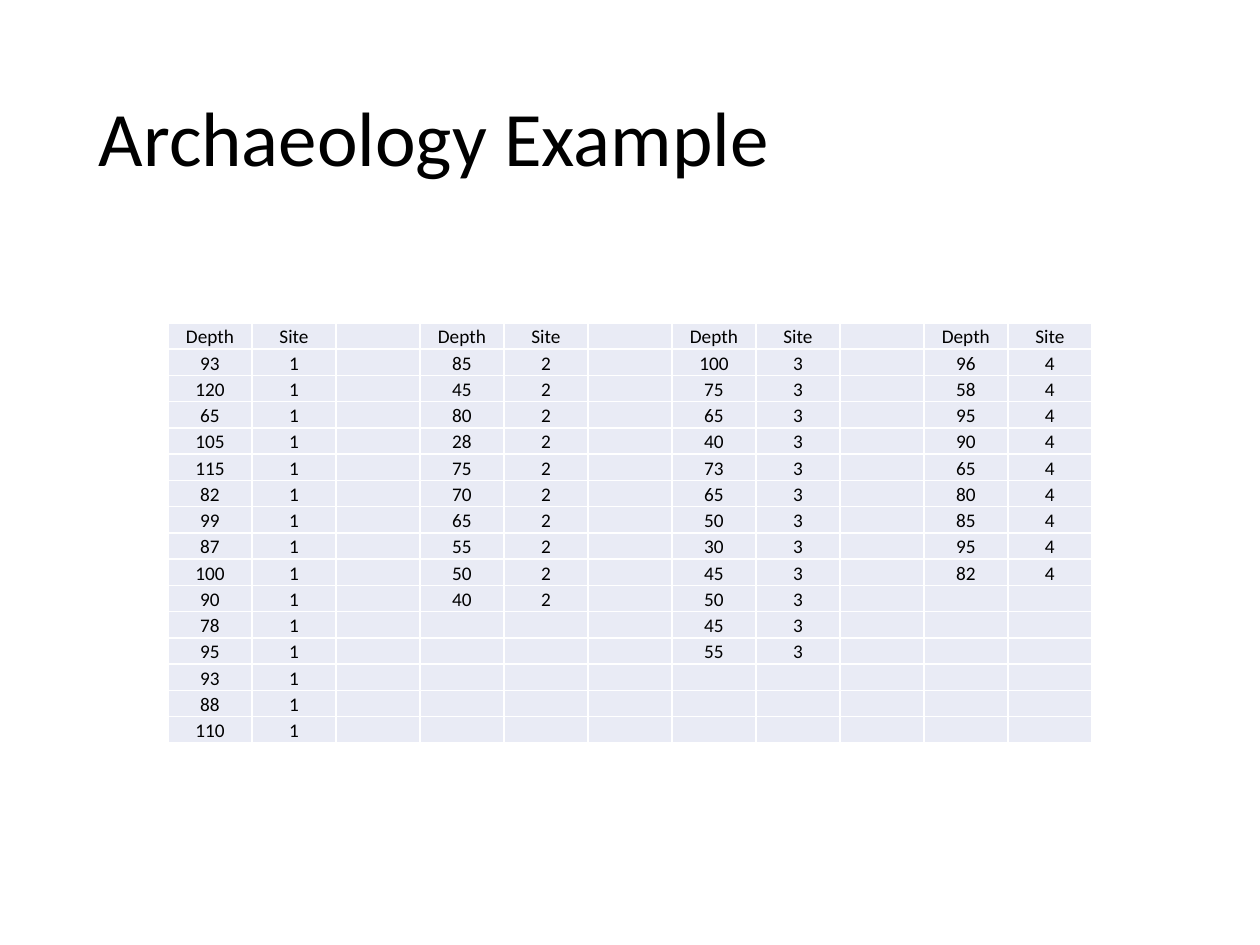
"""Build the archaeology slide: a title above a table of find depths by site."""
from dataclasses import dataclass

from lxml.etree import SubElement
from pptx import Presentation
from pptx.dml.color import RGBColor
from pptx.enum.text import MSO_ANCHOR as Anchor, PP_ALIGN as Align
from pptx.oxml.ns import qn
from pptx.slide import Slide
from pptx.table import _Cell as Cell
from pptx.text.text import _Paragraph as Paragraph
from pptx.util import Inches, Pt

SLIDE_WIDTH, SLIDE_HEIGHT = Inches(10), Inches(7.5)
COLUMN, ROW = SLIDE_WIDTH / 15, SLIDE_HEIGHT / 36


@dataclass(frozen=True)
class Theme:
    font: str = "Calibri"
    ink: str = "000000"
    cell: str = "E9EBF5"
    border: str = "FFFFFF"
    border_width: float = 1
    title_size: int = 44
    cell_size: int = 11


@dataclass(frozen=True)
class Box:
    column: float
    row: float
    columns: float
    rows: float

    def lengths(self) -> tuple[int, ...]:
        return (round(self.column * COLUMN), round(self.row * ROW),
                round(self.columns * COLUMN), round(self.rows * ROW))


@dataclass(frozen=True)
class Site:
    number: int
    depths: tuple[int, ...]


THEME = Theme()
SITES = (
    Site(1, (93, 120, 65, 105, 115, 82, 99, 87, 100, 90, 78, 95, 93, 88, 110)),
    Site(2, (85, 45, 80, 28, 75, 70, 65, 55, 50, 40)),
    Site(3, (100, 75, 65, 40, 73, 65, 50, 30, 45, 50, 45, 55)),
    Site(4, (96, 58, 95, 90, 65, 80, 85, 95, 82)),
)
SITE_STRIDE = 3
TABLE_COLUMNS = SITE_STRIDE * len(SITES) - 1
TABLE_ROWS = 1 + max(len(site.depths) for site in SITES)
TITLE_BOX = Box(1.03, 1.92, 12.94, 6.96)
TABLE_BOX = Box(2, 12.3, TABLE_COLUMNS, TABLE_ROWS)


def style_font(paragraph: Paragraph, size: int) -> None:
    paragraph.font.name = THEME.font
    paragraph.font.size = Pt(size)
    paragraph.font.color.rgb = RGBColor.from_string(THEME.ink)


def add_title(slide: Slide, text: str) -> None:
    frame = slide.shapes.add_textbox(*TITLE_BOX.lengths()).text_frame
    frame.word_wrap = True
    frame.vertical_anchor = Anchor.MIDDLE
    paragraph = frame.paragraphs[0]
    paragraph.text = text
    paragraph.line_spacing = 0.9
    style_font(paragraph, THEME.title_size)


def add_borders(cell: Cell) -> None:
    properties = cell._tc.get_or_add_tcPr()
    for side in ("lnL", "lnR", "lnT", "lnB"):
        line = SubElement(properties, qn(f"a:{side}"), w=str(Pt(THEME.border_width)))
        SubElement(SubElement(line, qn("a:solidFill")), qn("a:srgbClr"), val=THEME.border)


def fill_cell(cell: Cell, text: str) -> None:
    add_borders(cell)
    cell.fill.solid()
    cell.fill.fore_color.rgb = RGBColor.from_string(THEME.cell)
    cell.margin_left = cell.margin_right = cell.margin_top = Inches(0.01)
    cell.margin_bottom = 0
    cell.vertical_anchor = Anchor.BOTTOM
    paragraph = cell.text_frame.paragraphs[0]
    paragraph.alignment = Align.CENTER
    style_font(paragraph, THEME.cell_size)
    if text:
        paragraph.text = text
    else:
        SubElement(paragraph._p, qn("a:endParaRPr"), sz=str(THEME.cell_size * 100))


def depth_grid(sites: tuple[Site, ...]) -> list[list[str]]:
    grid = [[""] * TABLE_COLUMNS for _ in range(TABLE_ROWS)]
    for index, site in enumerate(sites):
        pairs = [("Depth", "Site"), *((depth, site.number) for depth in site.depths)]
        start = index * SITE_STRIDE
        for row, pair in zip(grid, pairs):
            row[start:start + 2] = map(str, pair)
    return grid


def add_depth_table(slide: Slide, sites: tuple[Site, ...]) -> None:
    table = slide.shapes.add_table(TABLE_ROWS, TABLE_COLUMNS, *TABLE_BOX.lengths()).table
    table.first_row = table.horz_banding = False
    for row, texts in zip(table.rows, depth_grid(sites)):
        for cell, text in zip(row.cells, texts):
            fill_cell(cell, text)


def main() -> None:
    presentation = Presentation()
    presentation.slide_width, presentation.slide_height = SLIDE_WIDTH, SLIDE_HEIGHT
    slide = presentation.slides.add_slide(presentation.slide_layouts[6])
    add_title(slide, "Archaeology Example")
    add_depth_table(slide, SITES)
    presentation.save("out.pptx")


if __name__ == "__main__":
    main()
